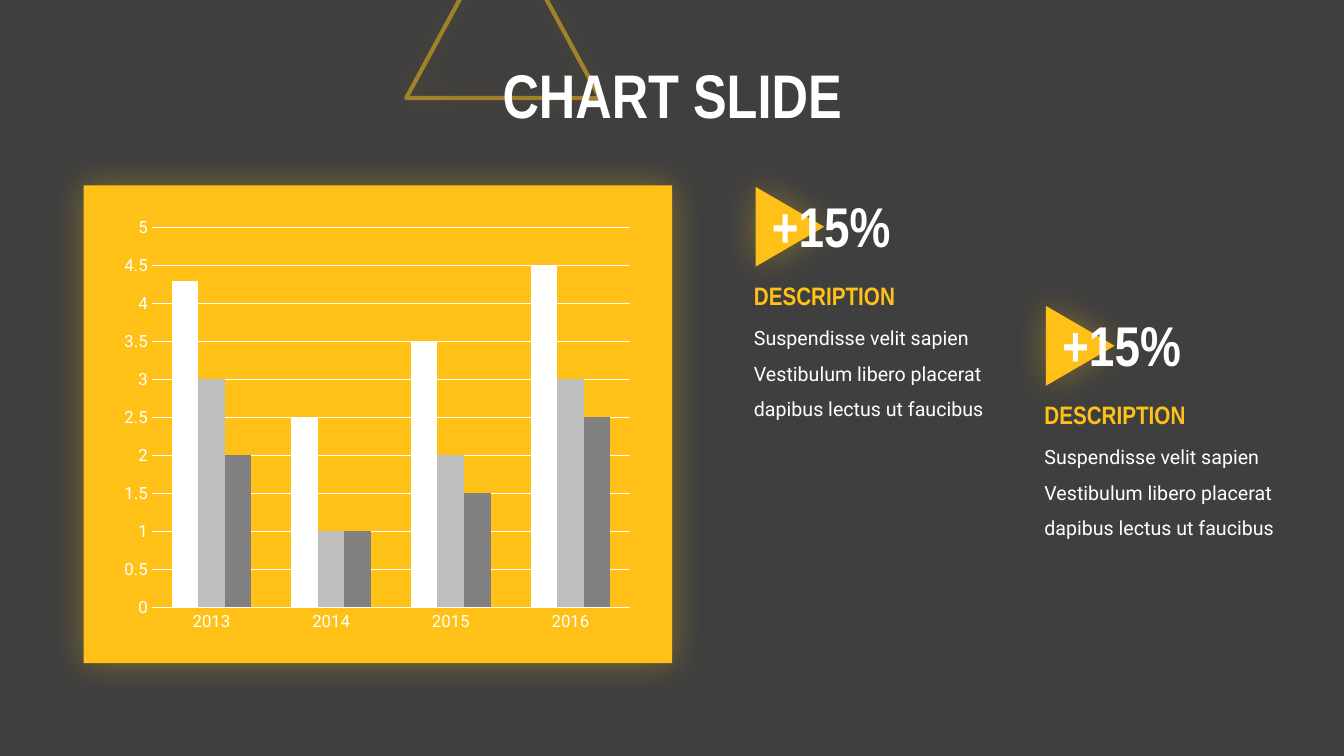
from lxml import etree
from pptx import Presentation
from pptx.chart.data import CategoryChartData
from pptx.dml.color import RGBColor
from pptx.enum.chart import XL_CHART_TYPE, XL_TICK_MARK
from pptx.enum.shapes import MSO_SHAPE
from pptx.enum.text import MSO_ANCHOR, PP_ALIGN
from pptx.oxml.ns import qn
from pptx.util import Cm, Pt

COLUMNS = XL_CHART_TYPE.COLUMN_CLUSTERED
NO_TICKS = XL_TICK_MARK.NONE
TRIANGLE = MSO_SHAPE.ISOSCELES_TRIANGLE
RECTANGLE = MSO_SHAPE.RECTANGLE
MIDDLE = MSO_ANCHOR.MIDDLE
TOP = MSO_ANCHOR.TOP
LEFT = PP_ALIGN.LEFT
CENTER = PP_ALIGN.CENTER

COLORS = {
    "dark": "3F3F3F",
    "yellow": "FFC118",
    "white": "FFFFFF",
    "light_grey": "BFBFBF",
    "grey": "808080",
}
HEADING_FONT = "Arial Narrow"
BODY_FONT = "Roboto"

YEARS = ["2013", "2014", "2015", "2016"]
SERIES = [
    ("Series 1", [4.3, 2.5, 3.5, 4.5], "white"),
    ("Series 2", [3, 1, 2, 3], "light_grey"),
    ("Series 3", [2, 1, 1.5, 2.5], "grey"),
]
DESCRIPTION = ("Suspendisse velit sapien Vestibulum libero placerat "
               "dapibus lectus ut faucibus")
HIGHLIGHTS = [
    (18.75, 4.7, "+15%", "DESCRIPTION", DESCRIPTION),
    (26.07, 7.7, "+15%", "DESCRIPTION", DESCRIPTION),
]


def rgb(name):
    return RGBColor.from_string(COLORS[name])


def box(left, top, width, height):
    return Cm(left), Cm(top), Cm(width), Cm(height)


def paint(fill, color, opacity=100):
    fill.solid()
    fill.fore_color.rgb = rgb(color)
    if opacity < 100:
        tint = fill._xPr.find(qn("a:solidFill"))[0]
        etree.SubElement(tint, qn("a:alpha"), val=str(opacity * 1000))


def add_glow(shape, color, opacity=35, blur=25):
    shape.shadow.inherit = False
    effects = shape._element.spPr.find(qn("a:effectLst"))
    shadow = etree.SubElement(
        effects, qn("a:outerShdw"), blurRad=str(Pt(blur)), dist="0", dir="0",
        algn="ctr", rotWithShape="0")
    tint = etree.SubElement(shadow, qn("a:srgbClr"), val=COLORS[color])
    etree.SubElement(tint, qn("a:alpha"), val=str(opacity * 1000))


def add_glowing_shape(slide, kind, position, rotation=0):
    shape = slide.shapes.add_shape(kind, *box(*position))
    shape.rotation = rotation
    paint(shape.fill, "yellow")
    shape.line.fill.background()
    add_glow(shape, "yellow")
    return shape


def style_font(font, name, size, color, bold=False):
    font.name = name
    font.size = Pt(size)
    font.bold = bold
    font.color.rgb = rgb(color)


def write(shape, text, font=BODY_FONT, size=14, color="white", bold=False,
          align=LEFT, anchor=TOP, spacing=1.0):
    frame = shape.text_frame
    frame.word_wrap = True
    frame.vertical_anchor = anchor
    frame.text = text
    paragraph = frame.paragraphs[0]
    paragraph.alignment = align
    paragraph.line_spacing = spacing
    style_font(paragraph.runs[0].font, font, size, color, bold)


def add_label(slide, position, text, **style):
    write(slide.shapes.add_textbox(*box(*position)), text, **style)


def add_backdrop(slide):
    outline = [(33.87, 18.52), (33.87, 19.05), (0, 19.05), (0, 18.52)]
    builder = slide.shapes.build_freeform(Cm(16.94), Cm(10.44))
    builder.add_line_segments([(Cm(x), Cm(y)) for x, y in outline])
    backdrop = builder.convert_to_shape()
    backdrop.shadow.inherit = False
    paint(backdrop.fill, "dark", opacity=70)
    backdrop.line.fill.background()


def add_title(slide, text):
    ornament = add_glowing_shape(slide, TRIANGLE, (10.24, -2.03, 4.88, 4.5))
    ornament.fill.background()
    ornament.line.width = Pt(3)
    paint(ornament.line.fill, "yellow", opacity=50)

    title = slide.shapes.title
    title.left, title.top, title.width, title.height = box(
        8.31, 1.24, 17.27, 2.49)
    write(title, text, font=HEADING_FONT, size=44, bold=True, align=CENTER,
          anchor=MIDDLE, spacing=0.9)
    slide.shapes._spTree.append(title._element)


def add_yearly_chart(slide):
    add_glowing_shape(slide, RECTANGLE, (2.11, 4.67, 14.83, 12.04))
    data = CategoryChartData()
    data.categories = YEARS
    for name, values, _ in SERIES:
        data.add_series(name, values)
    chart = slide.shapes.add_chart(
        COLUMNS, *box(2.87, 5.26, 13.28, 10.87), data).chart
    chart.has_legend = False
    chart.has_title = False
    style_font(chart.font, BODY_FONT, 10, "white")

    columns = chart.plots[0]
    columns.gap_width = 150
    columns.overlap = 0
    columns.vary_by_categories = False
    for series, (_, _, color) in zip(columns.series, SERIES):
        paint(series.format.fill, color)

    for axis in (chart.category_axis, chart.value_axis):
        axis.major_tick_mark = NO_TICKS
        axis.minor_tick_mark = NO_TICKS
        axis.format.line.fill.background()
        style_font(axis.tick_labels.font, BODY_FONT, 12, "white")
    scale = chart.value_axis
    scale.minimum_scale = 0
    scale.maximum_scale = 5
    scale.major_unit = 0.5
    scale.has_major_gridlines = True
    grid = scale.major_gridlines.format.line
    grid.width = Pt(0.75)
    paint(grid.fill, "white")


def add_highlight(slide, left, top, figure, heading, description):
    add_glowing_shape(slide, TRIANGLE, (left + 0.15, top + 0.15, 2.01, 1.73),
                      rotation=90)
    add_label(slide, (left, top + 3.1, 7.14, 2.84), description, spacing=1.5)
    add_label(slide, (left, top + 2.23, 6.22, 1.02), heading,
              font=HEADING_FONT, size=18, color="yellow", bold=True)
    add_label(slide, (left + 0.45, top, 4.55, 1.96), figure,
              font=HEADING_FONT, size=40, bold=True)


def main():
    deck = Presentation()
    deck.slide_width = Cm(33.87)
    deck.slide_height = Cm(19.05)
    slide = deck.slides.add_slide(deck.slide_layouts[5])
    paint(slide.background.fill, "dark")
    add_backdrop(slide)
    add_title(slide, "CHART SLIDE")
    add_yearly_chart(slide)
    for highlight in HIGHLIGHTS:
        add_highlight(slide, *highlight)
    deck.save("out.pptx")


if __name__ == "__main__":
    main()
